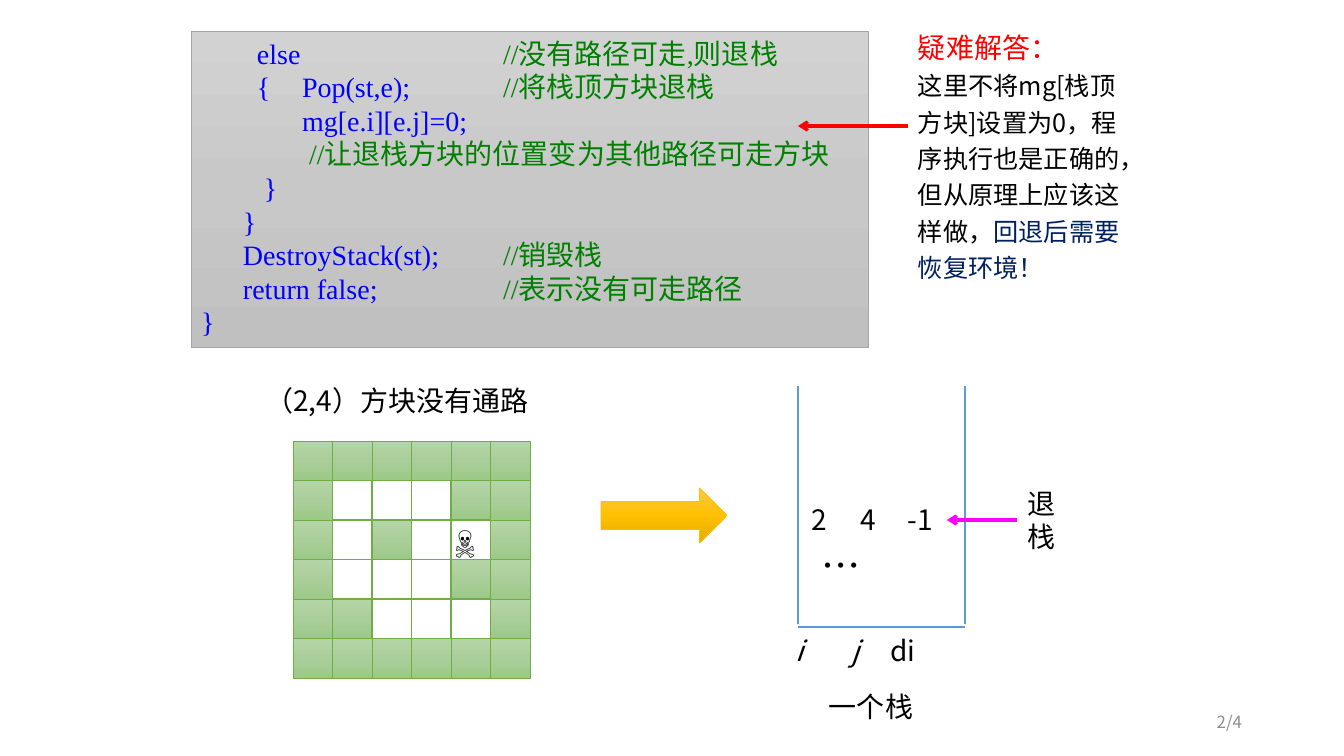
import copy

import lxml.etree
import pptx
import pptx.dml.color
import pptx.enum.shapes
import pptx.enum.text
import pptx.oxml.ns
import pptx.util

RGB = pptx.dml.color.RGBColor
SHAPES = pptx.enum.shapes.MSO_SHAPE
ALIGN = pptx.enum.text.PP_ALIGN
ANCHOR = pptx.enum.text.MSO_ANCHOR
qn = pptx.oxml.ns.qn

# Content
CODE = [
    "        else\t\t\t//没有路径可走,则退栈",
    "        {\tPop(st,e);\t//将栈顶方块退栈",
    "\tmg[e.i][e.j]=0;\t",
    "\t //让退栈方块的位置变为其他路径可走方块",
    "         }",
    "      }",
    "      DestroyStack(st);\t//销毁栈",
    "      return false;\t\t//表示没有可走路径",
    "}",
]
ANSWER_TITLE = "疑难解答："
ANSWER = "这里不将mg[栈顶方块]设置为0，程序执行也是正确的，但从原理上应该这样做，"
ANSWER_KEY = "回退后需要恢复环境！"
MAZE = ["######", "#...##", "#.#..#", "#...##", "##...#", "######"]
DEAD_END = "☠"
STACK_TOP = [("2", 812), ("4", 861), ("-1", 908)]

# Look
SANS, SERIF = "Noto Sans CJK SC", "Times New Roman"
BLACK, WHITE = RGB(0, 0, 0), RGB(255, 255, 255)
CODE_BLUE, COMMENT_GREEN = RGB(0, 0, 255), RGB(0, 128, 0)
RED, NAVY, MAGENTA = RGB(255, 0, 0), RGB(0, 32, 96), RGB(255, 0, 255)
PAGE_GRAY = RGB(0x8C, 0x8C, 0x8C)
PANEL_EDGE, WALL_EDGE = RGB(0xA5, 0xA5, 0xA5), RGB(0x70, 0xAD, 0x47)
STACK_BLUE, GOLD = RGB(0x5B, 0x9B, 0xD5), RGB(0xFF, 0xC0, 0)
PANEL_SHADES = RGB(0xD2, 0xD2, 0xD2), RGB(0xC8, 0xC8, 0xC8), RGB(0xC0, 0xC0, 0xC0)
WALL_SHADES = RGB(0xB5, 0xD5, 0xA7), RGB(0xAA, 0xCE, 0x9A), RGB(0x9C, 0xC9, 0x87)
GOLD_SHADES = RGB(0xFF, 0xC6, 0x4B), GOLD, RGB(0xE3, 0xAB, 0)

PX_PER_INCH = 100.8
SLIDE_W, SLIDE_H = 1344, 756


def px(length):
    return round(length * 914400 / PX_PER_INCH)


deck = pptx.Presentation()
deck.slide_width, deck.slide_height = px(SLIDE_W), px(SLIDE_H)
slide = deck.slides.add_slide(deck.slide_layouts[6])


def add_box(kind, box, shades, edge=None, weight=0.5):
    """Preset shape filled with one colour, or with three from top to bottom."""
    shape = slide.shapes.add_shape(kind, *map(px, box))
    shape.shadow.inherit = False
    if len(shades) == 1:
        shape.fill.solid()
        shape.fill.fore_color.rgb = shades[0]
    else:
        shape.fill.gradient()
        shape.fill.gradient_angle = 270
        first = next(shape._element.spPr.iter(qn("a:gs")))
        first.addnext(copy.deepcopy(first))
        for stop, shade, place in zip(shape.fill.gradient_stops, shades, (0, 0.5, 1)):
            stop.color.rgb, stop.position = shade, place
    if edge is None:
        shape.line.fill.background()
    else:
        shape.line.color.rgb = edge
        shape.line.width = pptx.util.Pt(weight)
    return shape


def add_line(start, end, color, weight, arrow=False):
    line = slide.shapes.add_connector(
        pptx.enum.shapes.MSO_CONNECTOR.STRAIGHT, *map(px, start + end))
    line.line.color.rgb = color
    line.line.width = pptx.util.Pt(weight)
    if arrow:
        lxml.etree.SubElement(line.line._get_or_add_ln(), qn("a:tailEnd"), type="arrow")
    lxml.etree.SubElement(line._element.spPr, qn("a:effectLst"))


def write(text, box=None, shape=None, size=20, color=BLACK, font=SANS, leading=24,
          inset=(10, 5), tabs=(), italic=False, align=ALIGN.LEFT, anchor=ANCHOR.TOP):
    """Text is a string, or paragraphs made of (words, format changes) runs."""
    if isinstance(text, str):
        text = [[(text, {})]]
    shape = shape or slide.shapes.add_textbox(*map(px, box))
    frame = shape.text_frame
    frame.word_wrap = True
    frame.vertical_anchor = anchor
    frame.margin_left = frame.margin_right = px(inset[0])
    frame.margin_top = frame.margin_bottom = px(inset[1])
    for number, runs in enumerate(text):
        para = frame.add_paragraph() if number else frame.paragraphs[0]
        para.alignment = align
        para.line_spacing = pptx.util.Pt(leading)
        if tabs:
            stops = lxml.etree.SubElement(para._p.get_or_add_pPr(), qn("a:tabLst"))
            for tab in tabs:
                lxml.etree.SubElement(stops, qn("a:tab"), pos=str(px(tab)), algn="l")
        for words, changes in runs:
            run = para.add_run()
            run.text = words
            run.font.size = pptx.util.Pt(changes.get("size", size))
            run.font.italic = changes.get("italic", italic)
            run.font.color.rgb = changes.get("color", color)
            run.font.name = font
            lxml.etree.SubElement(run._r.get_or_add_rPr(), qn("a:ea"), typeface=SANS)


# Code panel: everything from // on is a comment
code_runs = []
for code_line in CODE:
    statement, slashes, comment = code_line.partition("//")
    runs = [(statement, {})]
    if slashes:
        runs.append((slashes + comment, {"color": COMMENT_GREEN}))
    code_runs.append(runs)
code_panel = add_box(SHAPES.RECTANGLE, (191, 31, 677, 316), PANEL_SHADES, PANEL_EDGE)
write(code_runs, shape=code_panel, color=CODE_BLUE, font=SERIF, tabs=(101, 202, 302))

# Answer beside the code
write([[(ANSWER_TITLE, {"size": 20, "color": RED})],
       [(ANSWER, {}), (ANSWER_KEY, {"color": NAVY})]],
      (908, 23, 236, 267), size=18, leading=26)
add_line((908, 126), (798, 126), RED, 2.25, arrow=True)

# Maze
MAZE_LEFT, MAZE_TOP, MAZE_SIZE = 293, 441, 237
cell = MAZE_SIZE / len(MAZE)
write("（2,4）方块没有通路", (255, 378, 323, 44))
for row, squares in enumerate(MAZE):
    for column, square in enumerate(squares):
        place = (MAZE_LEFT + column * cell, MAZE_TOP + row * cell, cell, cell)
        if square == "#":
            add_box(SHAPES.RECTANGLE, place, WALL_SHADES, WALL_EDGE)
        else:
            add_box(SHAPES.RECTANGLE, place, (WHITE,), WALL_EDGE, 1)
write(DEAD_END, (455, 525, 31, 33), inset=(0, 0))

add_box(SHAPES.RIGHT_ARROW, (601, 488, 126, 55), GOLD_SHADES, GOLD)

# Stack
STACK_LEFT, STACK_RIGHT, STACK_RIM, STACK_BASE = 798, 965, 386, 627
for side in (STACK_LEFT, STACK_RIGHT):
    add_line((side, STACK_RIM), (side, STACK_BASE - 3), STACK_BLUE, 1.5)
add_line((STACK_LEFT, STACK_BASE), (STACK_RIGHT, STACK_BASE), STACK_BLUE, 1.5)
for value, left in STACK_TOP:
    write(value, (left, 503, 31, 33), inset=(0, 0))
write("…", (822, 541, 79, 47), size=28, leading=34, inset=(0, 0))
write([[("i\tj\t", {"italic": True}), ("di", {})]], (796, 634, 174, 33),
      inset=(0, 0), tabs=(56, 94))
write("一个栈", (829, 690, 111, 33), inset=(0, 0))
add_line((1017, 520), (947, 520), MAGENTA, 2.25, arrow=True)
write("退栈", (1018, 481, 39, 78))

# Page number
write("2/4", (950, 701, 302, 40), size=12, leading=15, color=PAGE_GRAY,
      align=ALIGN.RIGHT, anchor=ANCHOR.MIDDLE)

deck.save("out.pptx")
